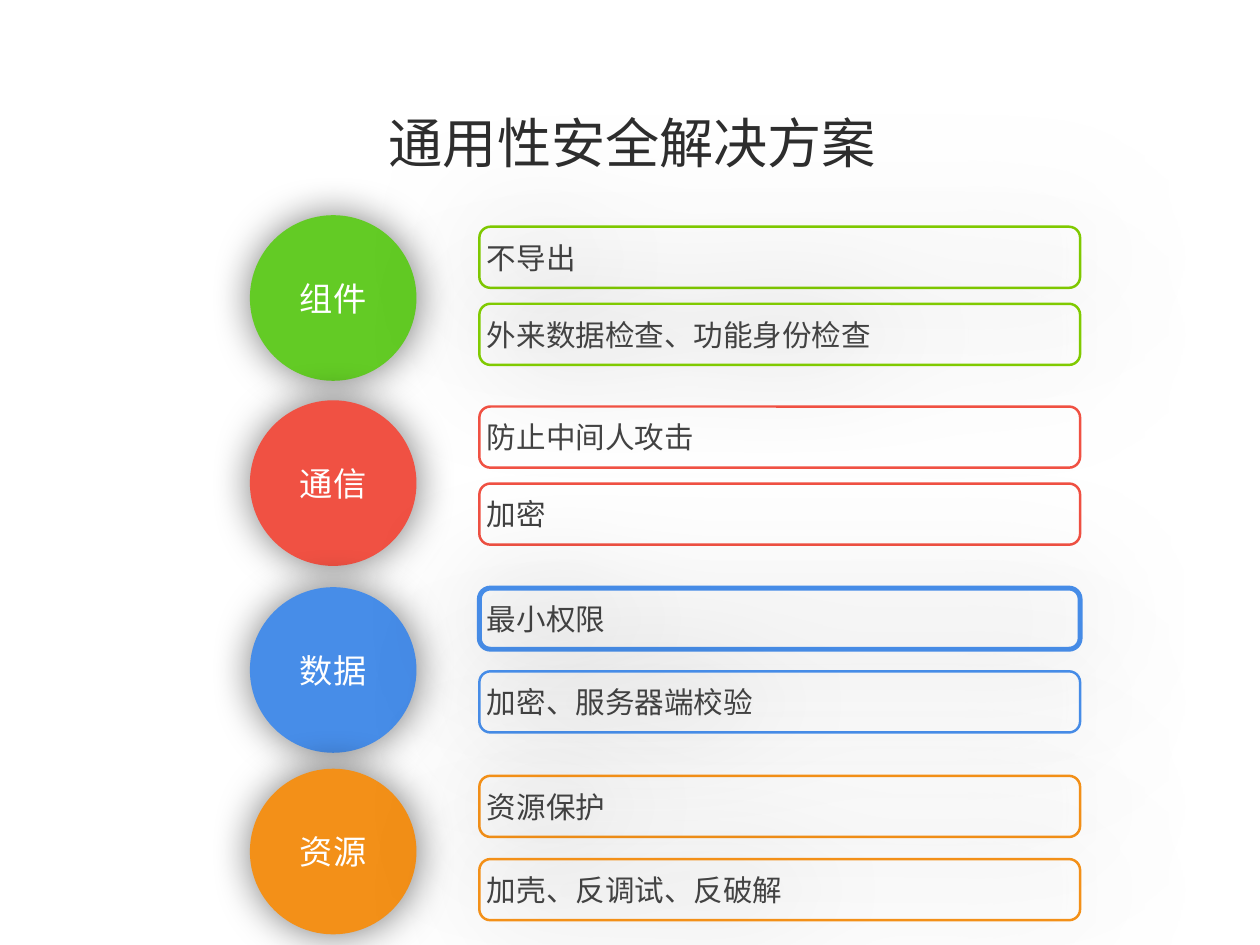
import dataclasses

import pptx
import pptx.dml.color
import pptx.enum.shapes
import pptx.enum.text
import pptx.oxml
import pptx.oxml.ns
import pptx.util
from pptx.util import Inches

SHAPE = pptx.enum.shapes.MSO_SHAPE
ALIGN = pptx.enum.text.PP_ALIGN


@dataclasses.dataclass(frozen=True)
class Theme:
    font: str = "Roboto"
    title_size: int = 44
    topic_size: int = 27
    measure_size: int = 24
    title_color: str = "2E2E2E"
    topic_color: str = "FFFFFF"
    measure_color: str = "424242"
    shadow_color: str = "000000"
    background: str = "FFFFFF"
    green: str = "63CB25"
    lime: str = "80CA01"
    red: str = "F05143"
    blue: str = "478DE8"
    orange: str = "F39018"


def rgb(color):
    return pptx.dml.color.RGBColor.from_string(color)


class SolutionSlide:
    def __init__(self, presentation, theme):
        self.theme = theme
        self.slide = presentation.slides.add_slide(presentation.slide_layouts[5])
        background = self.slide.background.fill
        background.solid()
        background.fore_color.rgb = rgb(theme.background)

    def set_text(self, shape, wording, size, color, align, inset):
        frame = shape.text_frame
        frame.word_wrap = True
        frame.vertical_anchor = pptx.enum.text.MSO_ANCHOR.MIDDLE
        frame.margin_left = frame.margin_right = Inches(inset)
        frame.margin_top = frame.margin_bottom = Inches(inset)
        frame.text = wording
        paragraph = frame.paragraphs[0]
        paragraph.alignment = align
        paragraph.font.size = pptx.util.Pt(size)
        paragraph.font.name = self.theme.font
        paragraph.font.color.rgb = rgb(color)
        east_asian = pptx.oxml.parse_xml(
            f'<a:ea {pptx.oxml.ns.nsdecls("a")} typeface="{self.theme.font}"/>')
        latin = paragraph._p.pPr.find(".//" + pptx.oxml.ns.qn("a:latin"))
        latin.addnext(east_asian)

    def glow(self, shape, blur):
        """Add a centred soft shadow with a blur radius in points."""
        effects = shape._element.spPr.find(pptx.oxml.ns.qn("a:effectLst"))
        effects.append(pptx.oxml.parse_xml(
            f'<a:outerShdw {pptx.oxml.ns.nsdecls("a")} blurRad="{int(pptx.util.Pt(blur))}"'
            f' dist="0" dir="0" algn="ctr" rotWithShape="0">'
            f'<a:srgbClr val="{self.theme.shadow_color}"><a:alpha val="52000"/></a:srgbClr>'
            f'</a:outerShdw>'))

    def add_shape(self, kind, left, top, width, height):
        shape = self.slide.shapes.add_shape(
            kind, Inches(left), Inches(top), Inches(width), Inches(height))
        shape.shadow.inherit = False
        return shape

    def title(self, wording):
        heading = self.slide.shapes.title
        heading.left, heading.top = Inches(0.74), Inches(0.98)
        heading.width, heading.height = Inches(12.8), Inches(1.25)
        self.set_text(heading, wording, self.theme.title_size,
                      self.theme.title_color, ALIGN.CENTER, 0.07)

    def topic(self, wording, top, color):
        circle = self.add_shape(SHAPE.OVAL, 2.82, top, 1.88, 1.87)
        circle.fill.solid()
        circle.fill.fore_color.rgb = rgb(color)
        circle.line.fill.background()
        self.glow(circle, 34)
        self.set_text(circle, wording, self.theme.topic_size,
                      self.theme.topic_color, ALIGN.CENTER, 0.05)

    def measure(self, wording, top, color, line_width, shadowed):
        box = self.add_shape(SHAPE.ROUNDED_RECTANGLE, 5.41, top, 6.78, 0.69)
        box.adjustments[0] = 0.18
        box.fill.background()
        box.line.color.rgb = rgb(color)
        box.line.width = pptx.util.Pt(line_width)
        if shadowed:
            self.glow(box, 100)
        self.set_text(box, wording, self.theme.measure_size,
                      self.theme.measure_color, ALIGN.LEFT, 0.05)


def main():
    theme = Theme()
    presentation = pptx.Presentation()
    presentation.slide_width = Inches(14.22)
    presentation.slide_height = Inches(10.67)

    # topic, top, fill, outline, shadowed boxes, (measure, top, line width)
    groups = [
        ("组件", 2.43, theme.green, theme.lime, True,
         [("不导出", 2.56, 2), ("外来数据检查、功能身份检查", 3.43, 2)]),
        ("通信", 4.52, theme.red, theme.red, False,
         [("防止中间人攻击", 4.59, 2), ("加密", 5.46, 2)]),
        ("数据", 6.63, theme.blue, theme.blue, True,
         [("最小权限", 6.64, 4), ("加密、服务器端校验", 7.58, 2)]),
        ("资源", 8.68, theme.orange, theme.orange, True,
         [("资源保护", 8.76, 2), ("加壳、反调试、反破解", 9.7, 2)]),
    ]

    solution = SolutionSlide(presentation, theme)
    solution.title("通用性安全解决方案")
    for topic, topic_top, fill, outline, shadowed, measures in groups:
        solution.topic(topic, topic_top, fill)
        for measure, measure_top, line_width in measures:
            solution.measure(measure, measure_top, outline, line_width, shadowed)
    presentation.save("out.pptx")


if __name__ == "__main__":
    main()
